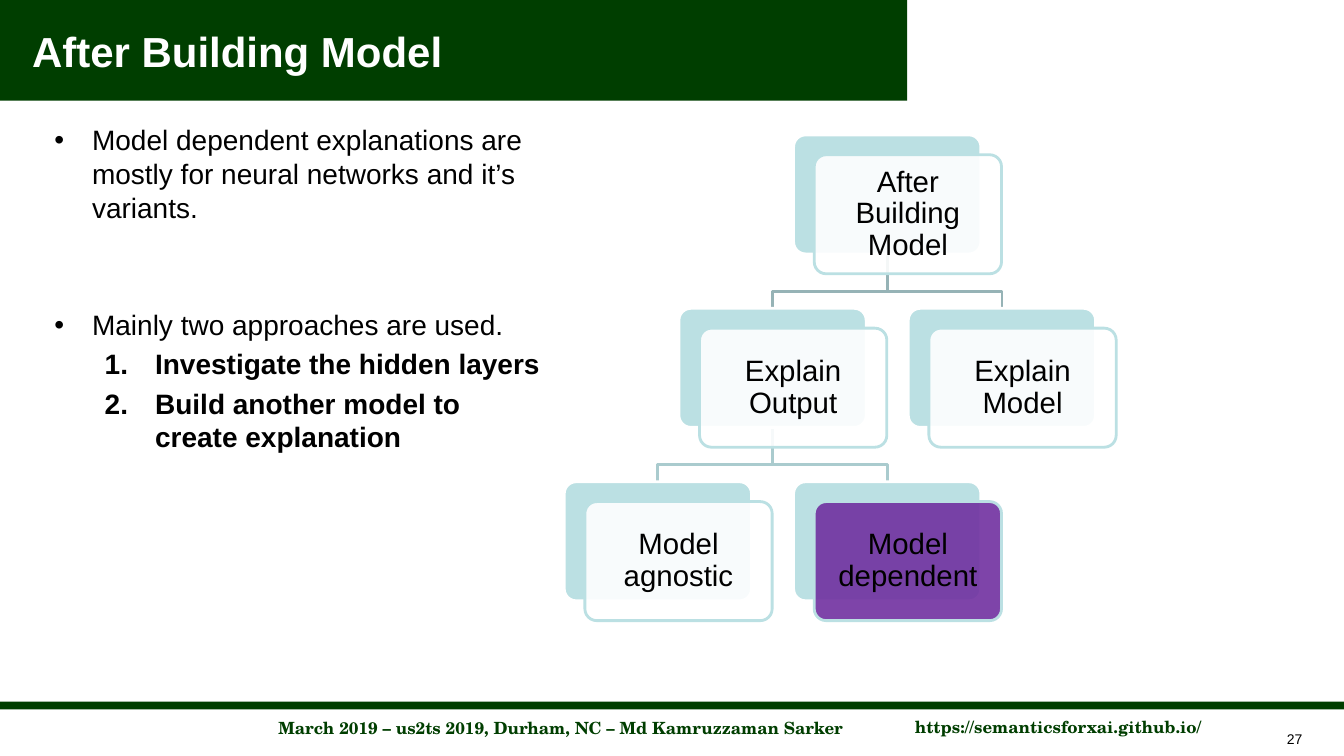
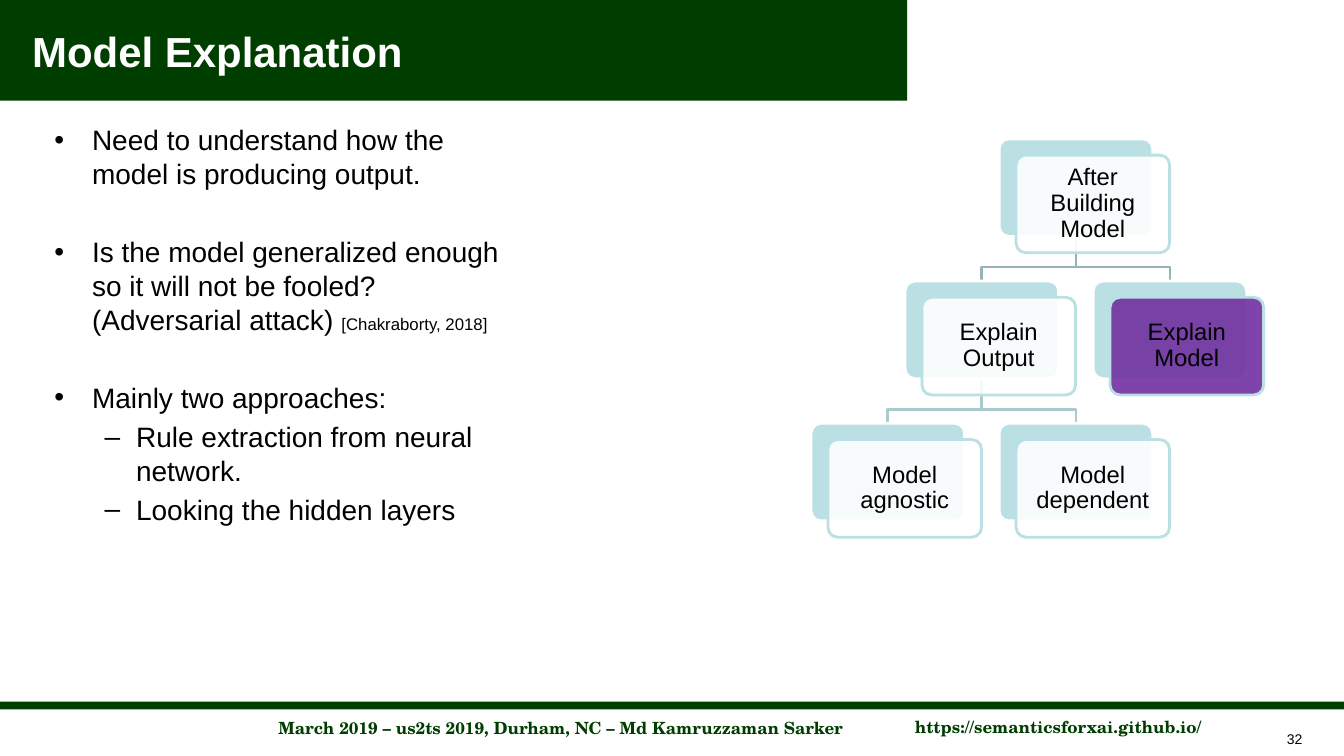
from lxml.etree import SubElement
from pptx import Presentation
from pptx.dml.color import RGBColor
from pptx.enum.shapes import MSO_SHAPE
from pptx.enum.text import MSO_ANCHOR, PP_ALIGN
from pptx.oxml.ns import qn
from pptx.util import Cm, Pt

GREEN = RGBColor(0x00, 0x3E, 0x00)
WHITE = RGBColor(0xFF, 0xFF, 0xFF)
BLACK = RGBColor(0x00, 0x00, 0x00)
AQUA = RGBColor(0xBB, 0xE0, 0xE3)
PURPLE = RGBColor(0x70, 0x30, 0xA0)
EDGES = [RGBColor(0x96, 0xB3, 0xB6), RGBColor(0xAA, 0xCB, 0xCE)]

SANS = "Arial"
SERIF = "TeX Gyre Schola"
WIDTH, HEIGHT = 33.87, 19.05

BOX_W, BOX_H = 4.72, 3.0
COL, ROW = 2.89, 4.37
SHIFT_X, SHIFT_Y = 0.52, 0.5
BEND = 0.94
INSET = 0.23

NODES = {
    "After Building Model": (2, 0),
    "Explain Output": (1, 1),
    "Model agnostic": (0, 2),
    "Model dependent": (2, 2),
    "Explain Model": (3, 1),
}
LINKS = [
    ("After Building Model", "Explain Model"),
    ("Explain Output", "Model dependent"),
    ("Explain Output", "Model agnostic"),
    ("After Building Model", "Explain Output"),
]

BULLETS = {
    "dot": (0.95, 0.95, "buChar", {"char": "•"}),
    "dash": (2.06, 0.79, "buChar", {"char": "–"}),
    "count": (2.54, 1.27, "buAutoNum", {"type": "arabicPeriod"}),
}


def add_run(para, text, size, color=BLACK, bold=False, face=SANS):
    run = para.add_run()
    run.text = text
    font = run.font
    font.name, font.size, font.bold = face, Pt(size), bold
    font.color.rgb = color


def add_box(slide, kind, left, top, width, height, fill, line=None):
    box = slide.shapes.add_shape(kind, Cm(left), Cm(top), Cm(width), Cm(height))
    box.shadow.inherit = False
    box.fill.solid()
    box.fill.fore_color.rgb = fill
    if line is None:
        box.line.fill.background()
    else:
        box.line.color.rgb = line
        box.line.width = Pt(2)
    return box


def add_text(slide, left, top, width, height):
    frame = slide.shapes.add_textbox(Cm(left), Cm(top), Cm(width), Cm(height)).text_frame
    frame.word_wrap = True
    return frame


def add_frame(slide, title, number):
    rect = MSO_SHAPE.RECTANGLE
    for left, top, width, text in [
        (3.7, 17.96, 20.88, "March 2019 – us2ts 2019, Durham, NC – Md Kamruzzaman Sarker"),
        (22.02, 17.93, 9.3, "https://semanticsforxai.github.io/"),
    ]:
        para = add_text(slide, left, top, width, 0.76).paragraphs[0]
        para.alignment = PP_ALIGN.CENTER
        add_run(para, text, 12, GREEN, True, SERIF)
    add_box(slide, rect, 0, 17.68, WIDTH, 0.2, GREEN)
    page = add_text(slide, 32.18, 18.29, 1.65, 0.64).paragraphs[0]
    add_run(page, str(number), 10)

    band = add_box(slide, rect, 0, 0, 22.86, 2.54, GREEN).text_frame
    band.margin_left = Cm(0.81)
    band.vertical_anchor = MSO_ANCHOR.MIDDLE
    head = band.paragraphs[0]
    head.alignment = PP_ALIGN.LEFT
    add_run(head, title, 30, WHITE, True)


def add_bullet(para, style):
    left, hang, tag, attrs = BULLETS[style]
    props = para._p.get_or_add_pPr()
    props.set("marL", str(Cm(left)))
    props.set("indent", str(-Cm(hang)))
    SubElement(props, qn("a:buFont"), typeface=SANS)
    SubElement(props, qn("a:" + tag), **attrs)


def add_body(slide, width, height, items):
    frame = add_text(slide, 1.12, 2.97, width, height)
    for i, (style, gap, *runs) in enumerate(items):
        para = frame.add_paragraph() if i else frame.paragraphs[0]
        add_bullet(para, style)
        para.space_before = Pt(gap)
        for text, size in runs:
            add_run(para, text, size, bold=style == "count")


def add_link(slide, start, end, drop, color):
    (x1, y1), (x2, y2) = start, end
    bend = y1 + drop
    path = slide.shapes.build_freeform(Cm(x1), Cm(y1))
    path.add_line_segments([(Cm(x), Cm(y)) for x, y in [(x1, bend), (x2, bend), (x2, y2)]], close=False)
    link = path.convert_to_shape()
    link.shadow.inherit = False
    link.fill.background()
    link.line.color.rgb = color
    link.line.width = Pt(2)


def add_node(slide, left, top, scale, text, size, fill):
    kind = MSO_SHAPE.ROUNDED_RECTANGLE
    width, height = BOX_W * scale, BOX_H * scale
    back = add_box(slide, kind, left, top, width, height, AQUA, WHITE)
    front = add_box(slide, kind, left + SHIFT_X * scale, top + SHIFT_Y * scale,
                    width, height, fill, AQUA)
    for box in (back, front):
        box.adjustments[0] = 0.1
    tint = front._element.spPr.find(qn("a:solidFill"))[0]
    SubElement(tint, qn("a:alpha"), val="90000")

    frame = front.text_frame
    frame.word_wrap = True
    frame.vertical_anchor = MSO_ANCHOR.MIDDLE
    inset = Cm(INSET * scale)
    frame.margin_left = frame.margin_right = inset
    frame.margin_top = frame.margin_bottom = inset
    para = frame.paragraphs[0]
    para.alignment = PP_ALIGN.CENTER
    para.line_spacing = 0.9
    add_run(para, text, size)


def add_tree(slide, left, top, scale, size, chosen):
    spots = {
        name: (left + col * COL * scale, top + row * ROW * scale)
        for name, (col, row) in NODES.items()
    }
    half, height = BOX_W * scale / 2, BOX_H * scale
    for upper, lower in LINKS:
        (x1, y1), (x2, y2) = spots[upper], spots[lower]
        add_link(slide, (x1 + half, y1 + height), (x2 + half, y2),
                 BEND * scale, EDGES[NODES[upper][1]])
    for name, (x, y) in spots.items():
        add_node(slide, x, y, scale, name, size, PURPLE if name == chosen else WHITE)


def main():
    deck = Presentation()
    deck.slide_width, deck.slide_height = Cm(WIDTH), Cm(HEIGHT)
    blank = deck.slide_layouts[6]

    slide = deck.slides.add_slide(blank)
    add_frame(slide, "After Building Model", 27)
    add_body(slide, 12.85, 9.93, [
        ("dot", 0, ("Model dependent explanations are mostly for neural networks and it’s variants.", 20)),
        ("dot", 60, ("Mainly two approaches are used.", 20)),
        ("count", 4, ("Investigate the hidden layers", 20)),
        ("count", 4, ("Build another model to create explanation", 20)),
    ])
    add_tree(slide, 14.22, 3.4, 1, 21, "Model dependent")

    slide = deck.slides.add_slide(blank)
    add_frame(slide, "Model Explanation", 32)
    add_body(slide, 11.89, 12.73, [
        ("dot", 0, ("Need to understand how the model is producing output.", 20)),
        ("dot", 32, ("Is the model generalized enough so it will not be fooled? (Adversarial attack) ", 20),
         ("[Chakraborty, 2018]", 12)),
        ("dot", 32, ("Mainly two approaches:", 20)),
        ("dash", 4, ("Rule extraction from neural network.", 20)),
        ("dash", 4, ("Looking the hidden layers", 20)),
    ])
    add_tree(slide, 20.44, 3.5, 0.82, 17, "Explain Model")

    deck.save("out.pptx")


if __name__ == "__main__":
    main()
